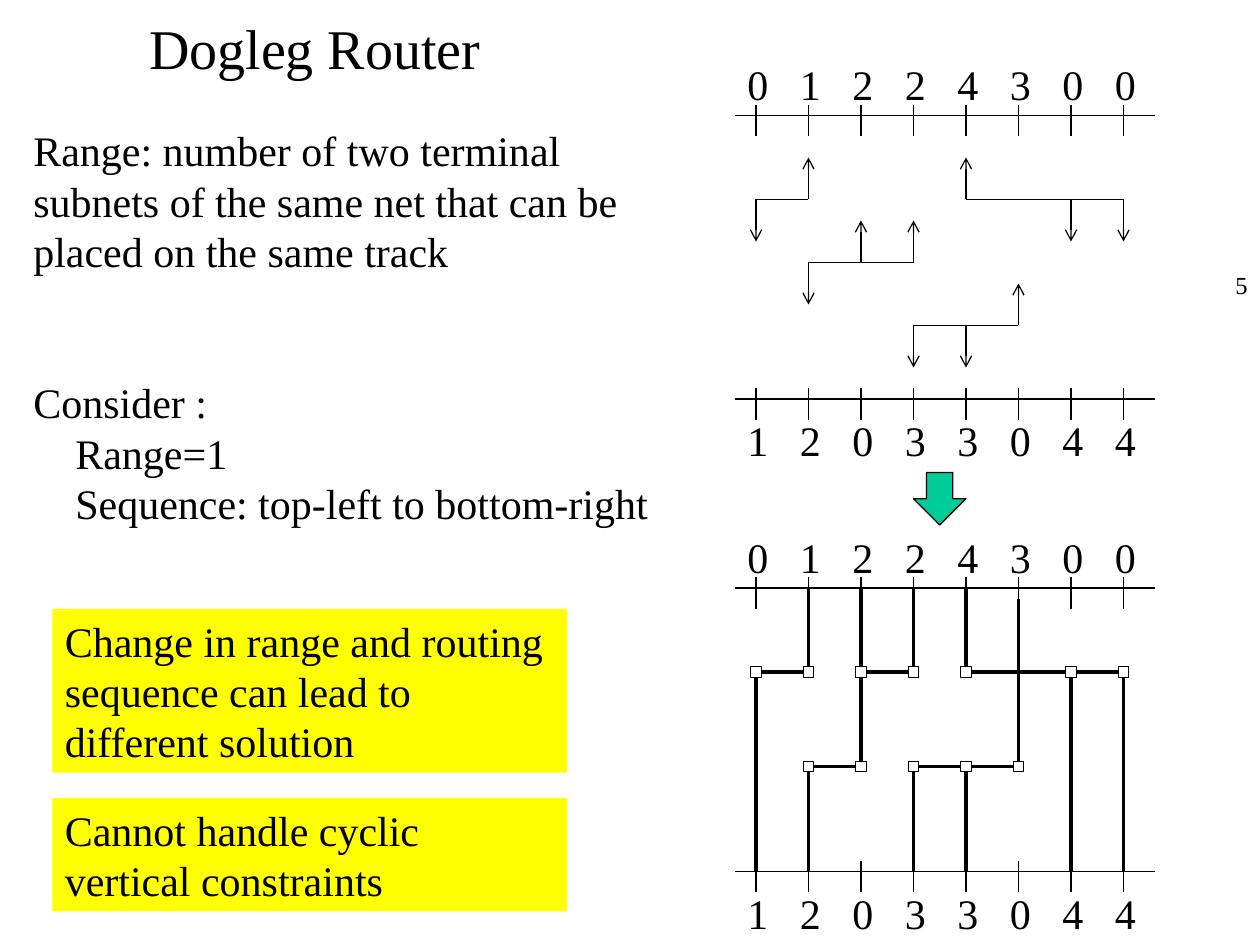
from itertools import pairwise

from lxml.etree import SubElement
from pptx import Presentation
from pptx.dml.color import RGBColor
from pptx.enum.shapes import MSO_CONNECTOR, MSO_SHAPE
from pptx.enum.text import MSO_ANCHOR, PP_ALIGN
from pptx.oxml.ns import qn
from pptx.util import Emu, Pt

BLACK = RGBColor(0x00, 0x00, 0x00)
WHITE = RGBColor(0xFF, 0xFF, 0xFF)
YELLOW = RGBColor(0xFF, 0xFF, 0x00)
GREEN = RGBColor(0x00, 0xCC, 0x99)
FONT = "Times New Roman"

# Channel geometry, measured from the channel's top left corner
PITCH, FIRST_PIN, CHANNEL_WIDTH = 50, 20, 400
TOP_EDGE, BOTTOM_EDGE = 60, 330
ARROW_LENGTH, VIA_SIZE = 40, 10
TOP_PINS = "01224300"
BOTTOM_PINS = "12033044"

# Track y, columns, columns with a pin above, columns with a pin below
SUBNETS = [
    (140, (0, 1), (1,), (0,)),
    (140, (4, 6, 7), (4,), (6, 7)),
    (200, (1, 2, 3), (2, 3), (1,)),
    (260, (3, 4, 5), (5,), (3, 4)),
]
# Track y, columns
TRACKS = [
    (140, (0, 1)), (140, (2, 3)), (140, (4, 6, 7)),
    (230, (1, 2)), (230, (3, 4, 5)),
]
# Column, start y, end y
BRANCHES = [
    (0, 140, 330), (1, 60, 140), (1, 230, 330), (2, 60, 230),
    (3, 60, 140), (3, 230, 330), (4, 60, 140), (4, 230, 330),
    (5, 70, 230), (6, 140, 330), (7, 140, 330),
]


def px(count):
    return Emu(count * 7620)


def add_line(page, start, end, width=0.75, arrow=False):
    line = page.shapes.add_connector(
        MSO_CONNECTOR.STRAIGHT, *map(px, start), *map(px, end))
    line.line.color.rgb = BLACK
    line.line.width = Pt(width)
    if arrow:
        SubElement(line.line._get_or_add_ln(), qn("a:tailEnd"), type="arrow")
    SubElement(line._element.spPr, qn("a:effectLst"))


def add_block(page, kind, box, fill, outlined=True):
    block = page.shapes.add_shape(kind, *map(px, box))
    block.shadow.inherit = False
    block.fill.solid()
    block.fill.fore_color.rgb = fill
    if outlined:
        block.line.color.rgb = BLACK
        block.line.width = Pt(0.75)
    else:
        block.line.fill.background()
    return block


def write(frame, text, size=24, align=PP_ALIGN.LEFT, anchor=MSO_ANCHOR.TOP):
    frame.word_wrap = True
    frame.vertical_anchor = anchor
    frame.text = text
    for para in frame.paragraphs:
        para.alignment = align
        for span in para.runs:
            span.font.size = Pt(size)
            span.font.name = FONT
            span.font.color.rgb = BLACK


def add_text(page, box, text, **style):
    frame = page.shapes.add_textbox(*map(px, box)).text_frame
    write(frame, text, **style)
    return frame


def add_explanation(page, box):
    frame = add_text(page, box, "\n".join([
        "Range: number of two terminal subnets of the same net "
        "that can be placed on the same track",
        "Consider :",
        "Range=1",
        "Sequence: top-left to bottom-right",
    ]))
    _, consider, *settings = frame.paragraphs
    consider.space_before = Pt(57.6)
    for para in settings:
        para._p.get_or_add_pPr().set("marL", str(Pt(24)))


def add_note(page, box, text):
    note = add_block(page, MSO_SHAPE.RECTANGLE, box, YELLOW, outlined=False)
    write(note.text_frame, text)


def add_pin_row(page, left, top, pins):
    """Pin numbers, one tab stop per column."""
    frame = add_text(page, (left, top, CHANNEL_WIDTH, 60), "\t".join(pins))
    stops = SubElement(frame.paragraphs[0]._p.get_or_add_pPr(), qn("a:tabLst"))
    for column in range(1, len(pins)):
        SubElement(stops, qn("a:tab"), pos=str(px(column * PITCH)), algn="l")


def pin_x(left, column):
    return left + FIRST_PIN + column * PITCH


def add_channel(page, left, top):
    """Two edges with ticks and pin numbers."""
    add_pin_row(page, left, top, TOP_PINS)
    add_pin_row(page, left, top + 339, BOTTOM_PINS)
    for edge in (top + TOP_EDGE, top + BOTTOM_EDGE):
        add_line(page, (left, edge), (left + CHANNEL_WIDTH, edge))
        for column in range(len(TOP_PINS)):
            x = pin_x(left, column)
            add_line(page, (x, edge - 10), (x, edge + 20))


def add_track(page, left, y, columns, width=0.75):
    for start, end in pairwise(columns):
        add_line(page, (pin_x(left, start), y), (pin_x(left, end), y), width)


def add_subnets(page, left, top):
    add_channel(page, left, top)
    for track, columns, above, below in SUBNETS:
        y = top + track
        add_track(page, left, y, columns)
        for pins, reach in ((above, -ARROW_LENGTH), (below, ARROW_LENGTH)):
            for column in pins:
                x = pin_x(left, column)
                add_line(page, (x, y), (x, y + reach), arrow=True)


def add_routing(page, left, top):
    add_channel(page, left, top)
    for track, columns in TRACKS:
        add_track(page, left, top + track, columns, 2.25)
    for column, start, end in BRANCHES:
        x = pin_x(left, column)
        add_line(page, (x, top + start), (x, top + end), 2.25)
    for track, columns in TRACKS:
        for column in columns:
            corner = (pin_x(left, column) - VIA_SIZE // 2,
                      top + track - VIA_SIZE // 2)
            add_block(page, MSO_SHAPE.RECTANGLE,
                      (*corner, VIA_SIZE, VIA_SIZE), WHITE)


def main():
    deck = Presentation()
    deck.slide_width, deck.slide_height = px(1200), px(900)
    page = deck.slides.add_slide(deck.slide_layouts[6])
    add_text(page, (1120, 251, 80, 60), "5", size=14, align=PP_ALIGN.RIGHT)
    add_text(page, (20, 10, 560, 70), "Dogleg Router", size=32,
             align=PP_ALIGN.CENTER, anchor=MSO_ANCHOR.MIDDLE)
    add_explanation(page, (20, 113, 610, 444))
    add_subnets(page, 700, 50)
    add_block(page, MSO_SHAPE.DOWN_ARROW, (870, 450, 50, 50), GREEN)
    add_routing(page, 700, 500)
    add_note(page, (50, 580, 490, 156),
             "Change in range and routing sequence can lead to "
             "different solution")
    add_note(page, (50, 760, 490, 108),
             "Cannot handle cyclic vertical constraints")
    deck.save("out.pptx")


if __name__ == "__main__":
    main()
